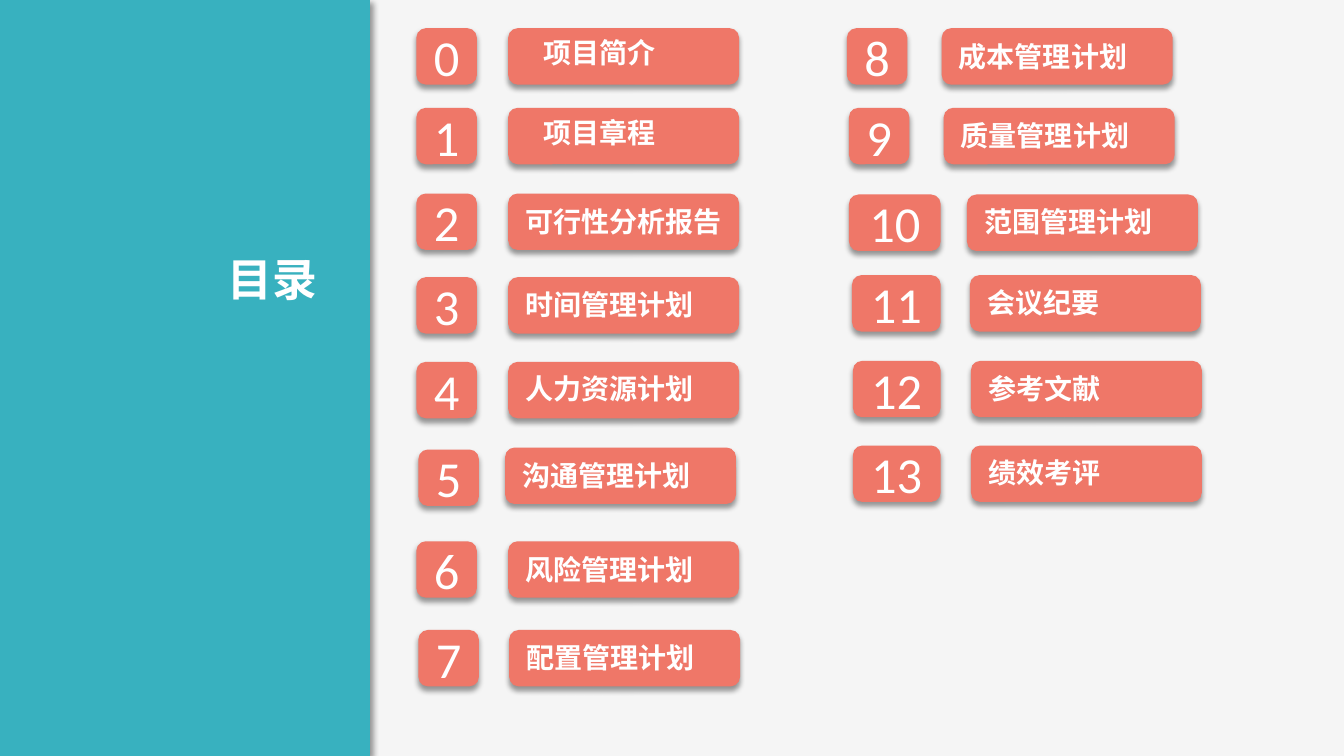
from pptx import Presentation
from pptx import util as u
from pptx.dml.color import RGBColor
from pptx.enum import shapes, text
from pptx.oxml import parse_xml
from pptx.oxml.ns import nsdecls, qn

PX = 9144
TEAL = RGBColor(0x38, 0xB1, 0xBF)
CORAL = RGBColor(0xEF, 0x77, 0x68)
PALE = RGBColor(0xF5, 0xF5, 0xF5)
WHITE = RGBColor(0xFF, 0xFF, 0xFF)
HAN = "Noto Sans CJK SC"
ROUND = shapes.MSO_SHAPE.ROUNDED_RECTANGLE
HIGH, WIDE = 56, 229


def plate(home, kind, box, color, angle):
    shape = home.add_shape(kind, *[n * PX for n in box])
    shape.fill.solid()
    shape.fill.fore_color.rgb = color
    shape.line.fill.background()
    shape.shadow.inherit = False
    glow = shape._element.spPr.find(qn("a:effectLst"))
    glow.append(parse_xml(
        f'<a:outerShdw {nsdecls("a")} blurRad="{u.Pt(4)}" dist="{u.Pt(3)}" '
        f'dir="{angle * 60000}" algn="ctr" rotWithShape="0">'
        '<a:srgbClr val="000000"><a:alpha val="40000"/></a:srgbClr></a:outerShdw>'))
    return shape


def write(shape, words, size, font, bold, align, anchor):
    frame = shape.text_frame
    frame.word_wrap = True
    frame.vertical_anchor = anchor
    frame.margin_left = frame.margin_right = 13 * PX
    frame.margin_top = frame.margin_bottom = 7 * PX
    para = frame.paragraphs[0]
    para.alignment = align
    run = para.add_run()
    run.text = words
    run.font.size = u.Pt(size)
    run.font.bold = bold
    run.font.color.rgb = WHITE
    run.font.name = font
    run._r.get_or_add_rPr().append(
        parse_xml(f'<a:ea {nsdecls("a")} typeface="{font}"/>'))


deck = Presentation()
deck.slide_width, deck.slide_height = 1333 * PX, 750 * PX
slide = deck.slides.add_slide(deck.slide_layouts[5])
slide.background.fill.solid()
slide.background.fill.fore_color.rgb = PALE

panel = plate(slide.shapes, shapes.MSO_SHAPE.RECTANGLE, (-12, 0, 379, 750), TEAL, 45)
title = slide.shapes.title
panel._element.addnext(title._element)
title.left, title.top, title.width, title.height = [n * PX for n in (21, 243, 307, 67)]
write(title, "目录", 32, HAN, True, text.PP_ALIGN.RIGHT, text.MSO_ANCHOR.TOP)

# number left, number top, number width, bar left, bar top, label inset, label drop
items = [
    ("项目简介", 413, 28, 60, 504, 28, 22, 0),
    ("项目章程", 413, 107, 60, 504, 107, 22, 1),
    ("可行性分析报告", 413, 192, 60, 504, 192, 4, 4),
    ("时间管理计划", 413, 275, 60, 504, 275, 4, 3),
    ("人力资源计划", 413, 359, 60, 504, 359, 4, 3),
    ("沟通管理计划", 415, 446, 60, 501, 444, 4, 4),
    ("风险管理计划", 413, 537, 60, 504, 537, 4, 4),
    ("配置管理计划", 415, 625, 60, 505, 625, 4, 3),
    ("成本管理计划", 840, 28, 60, 934, 28, 4, 4),
    ("质量管理计划", 842, 107, 60, 936, 107, 4, 4),
    ("范围管理计划", 842, 193, 91, 959, 193, 4, 3),
    ("会议纪要", 845, 273, 88, 962, 273, 4, 3),
    ("参考文献", 846, 358, 87, 963, 358, 4, 4),
    ("绩效考评", 846, 442, 87, 963, 442, 4, 3),
]
for count, (words, left, top, width, start, level, inset, drop) in enumerate(items):
    badge = plate(slide.shapes, ROUND, (left, top, width, HIGH), CORAL, 90)
    write(badge, str(count), 36, "Calibri", False,
          text.PP_ALIGN.CENTER, text.MSO_ANCHOR.MIDDLE)
    group = slide.shapes.add_group_shape()
    plate(group.shapes, ROUND, (start, level, WIDE, HIGH), CORAL, 90)
    label = group.shapes.add_textbox(
        (start + inset) * PX, (level + drop) * PX, 248 * PX, 47 * PX)
    write(label, words, 20, HAN, True, text.PP_ALIGN.LEFT, text.MSO_ANCHOR.TOP)
    label.text_frame.auto_size = text.MSO_AUTO_SIZE.SHAPE_TO_FIT_TEXT

deck.save("out.pptx")
